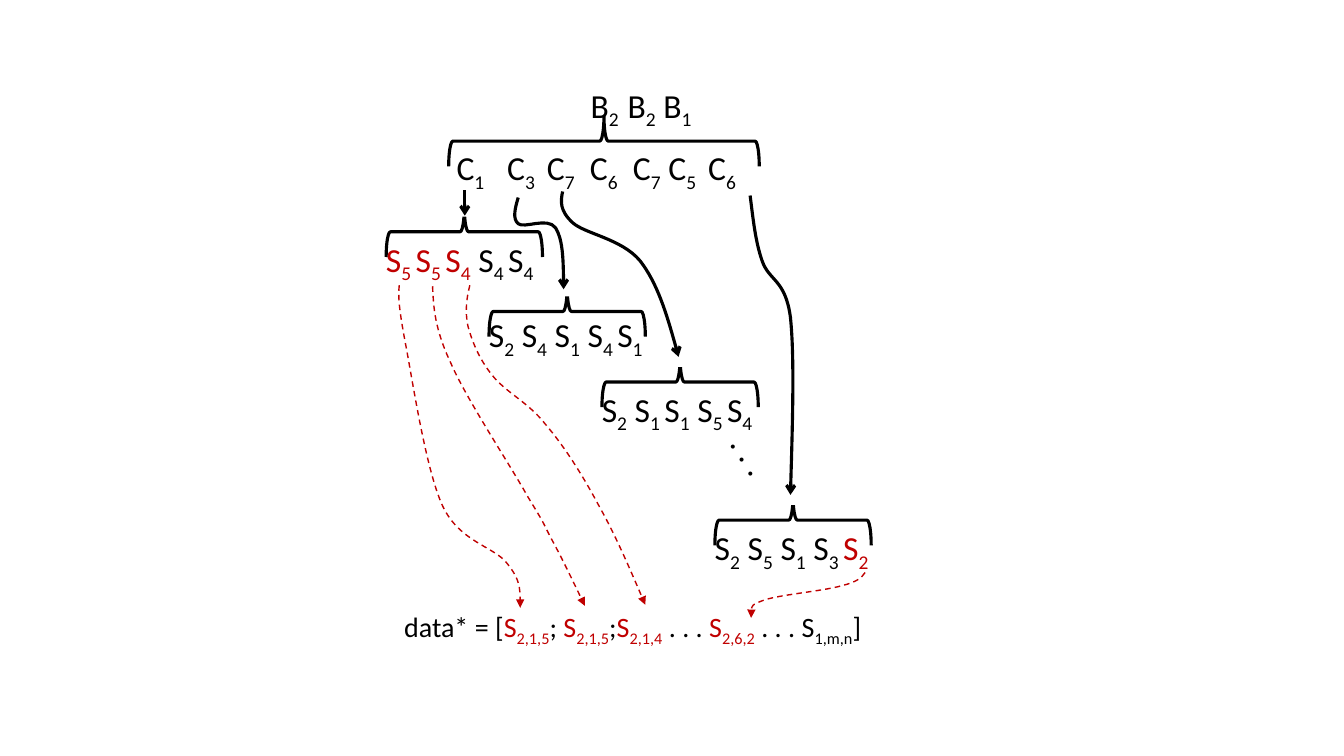
from dataclasses import dataclass
from lxml.etree import SubElement
from pptx import Presentation
from pptx.dml.color import RGBColor
from pptx.enum.dml import MSO_LINE
from pptx.enum.shapes import MSO_CONNECTOR, MSO_SHAPE
from pptx.enum.text import MSO_AUTO_SIZE
from pptx.oxml.ns import qn
from pptx.util import Inches, Pt


@dataclass(frozen=True)
class Theme:
    """Hold the colours, font, type sizes and line widths."""
    ink: RGBColor = RGBColor(0, 0, 0)
    accent: RGBColor = RGBColor(0xC0, 0, 0)
    paper: RGBColor = RGBColor(0xFF, 0xFF, 0xFF)
    font: str = "Calibri"
    symbol: Pt = Pt(24)
    formula: Pt = Pt(20)
    heavy: Pt = Pt(2.25)
    light: Pt = Pt(1)


@dataclass(frozen=True)
class Box:
    """Describe a region in inches."""
    left: float
    top: float
    width: float
    height: float

    def inches(self):
        """Return the four measures as lengths."""
        return [Inches(side) for side in (self.left, self.top, self.width, self.height)]


THEME = Theme()
INK, RED = THEME.ink, THEME.accent


def add_text(page, box, terms, size=THEME.symbol):
    """Write terms of base text, subscript and colour on one line."""
    label = page.shapes.add_textbox(*box.inches())
    label.text_frame.word_wrap = False
    label.text_frame.auto_size = MSO_AUTO_SIZE.SHAPE_TO_FIT_TEXT
    para = label.text_frame.paragraphs[0]
    for base, subscript, colour in terms:
        for words, shift in ((base, 0), (subscript, -25000)):
            if words:
                span = para.add_run()
                span.text = words
                span.font.name, span.font.size = THEME.font, size
                span.font.color.rgb = colour
                if shift:
                    span.font._element.set("baseline", str(shift))
    return label


def style_line(shape, colour, width, head=None):
    """Set the line of a shape and an optional arrowhead."""
    shape.line.color.rgb = colour
    shape.line.width = width
    if head == "triangle":
        shape.line.dash_style = MSO_LINE.DASH
    if head:
        outline = shape._element.spPr.find(qn("a:ln"))
        SubElement(outline, qn("a:tailEnd"), type=head)


def add_brace(page, box):
    """Place a brace that opens downwards and fills the box."""
    middle_x, middle_y = box.left + box.width / 2, box.top + box.height / 2
    upright = Box(middle_x - box.height / 2, middle_y - box.width / 2, box.height, box.width)
    brace = page.shapes.add_shape(MSO_SHAPE.LEFT_BRACE, *upright.inches())
    brace.rotation = 90
    brace.shadow.inherit = False
    brace.fill.background()
    style_line(brace, INK, THEME.heavy)


def add_states(page, box, text_drop, terms):
    """Place a row of states below a brace with a shortened tip."""
    add_text(page, Box(box.left - 0.1, box.top + text_drop, 1.82, 0.5), terms)
    add_brace(page, box)
    cover = page.shapes.add_shape(
        MSO_SHAPE.RECTANGLE, *Box(box.left + 0.6, box.top - 0.15, 0.32, 0.25).inches())
    cover.shadow.inherit = False
    cover.fill.solid()
    cover.fill.fore_color.rgb = THEME.paper
    cover.line.fill.background()


def add_curve(page, start, offsets, colour, width, head):
    """Draw a Bezier arrow through offsets measured from its start."""
    points = [(Inches(start[0] + x), Inches(start[1] + y)) for x, y in offsets]
    builder = page.shapes.build_freeform(Inches(start[0]), Inches(start[1]))
    builder.add_line_segments(points, close=False)
    curve = builder.convert_to_shape()
    curve.shadow.inherit = False
    curve.fill.background()
    style_line(curve, colour, width, head)
    outline = next(curve._element.iter(qn("a:path")))
    segments = outline.findall(qn("a:lnTo"))
    for first in range(0, len(segments), 3):
        bezier = SubElement(outline, qn("a:cubicBezTo"))
        for segment in segments[first:first + 3]:
            bezier.append(segment[0])
            outline.remove(segment)


def add_blocks(page, box):
    """Place the block row, its brace and the cluster row."""
    clusters = [("C", "1", INK), ("   C", "3 ", INK), (" C", "7", INK), ("  C", "6", INK),
                ("  C", "7", INK), (" C", "5 ", INK), (" C", "6", INK)]
    add_text(page, Box(box.left, box.top + 0.62, box.width, 0.5), clusters)
    add_brace(page, Box(box.left + 0.02, box.top + 0.36, 3.08, 0.5))
    blocks = [("B", "2  ", INK), ("B", "2", INK), (" B", "1", INK)]
    add_text(page, Box(box.left + 1.33, box.top, 1.32, 0.5), blocks)


def add_first_arrow(page, box):
    """Draw the straight arrow down the left side of the box."""
    x, top, bottom = Inches(box.left), Inches(box.top), Inches(box.top + box.height)
    arrow = page.shapes.add_connector(MSO_CONNECTOR.STRAIGHT, x, top, x, bottom)
    style_line(arrow, INK, THEME.heavy, "arrow")
    SubElement(arrow._element.spPr, qn("a:effectLst"))


def add_formula(page, box):
    """Write the resulting data sequence."""
    terms = [("data* = [", "", INK), ("S", "2,1,5", RED), ("; ", "", INK),
             ("S", "2,1,5", RED), (";", "", INK), ("S", "2,1,4", RED),
             (" . . . ", "", INK), ("S", "2,6,2", RED),
             (" . . . S", "1,m,n", INK), ("]", "", INK)]
    add_text(page, box, terms, THEME.formula)


STATE_ROWS = [
    (3.83, 2.05, 0.27, [("S", "5 ", RED), ("S", "5 ", RED), ("S", "4", RED),
                        (" S", "4 ", INK), ("S", "4", INK)]),
    (4.85, 2.84, 0.23, [("S", "2", INK), (" S", "4", INK), (" S", "1", INK),
                        (" S", "4 ", INK), ("S", "1", INK)]),
    (5.97, 3.54, 0.27, [("S", "2", INK), (" S", "1 ", INK), ("S", "1", INK),
                        (" S", "5 ", INK), ("S", "4", INK)]),
    (7.09, 4.91, 0.27, [("S", "2", INK), (" S", "5", INK), (" S", "1", INK),
                        (" S", "3 ", INK), ("S", "2", RED)]),
]
CLUSTER_CURVES = [
    ((5.14, 1.96), [(-.03, .1), (-.06, .21), (0, .26), (.06, .31), (.29, .19), (.37, .3),
                    (.44, .41), (.45, .66), (.45, .91)]),
    ((5.58, 1.9), [(-.02, .1), (-.03, .19), (.1, .31), (.22, .42), (.59, .47), (.77, .69),
                   (.94, .91), (1.05, 1.27), (1.15, 1.64)]),
    ((7.44, 1.94), [(.03, .23), (.05, .45), (.12, .65), (.19, .85), (.35, .83), (.4, 1.21),
                    (.44, 1.6), (.42, 2.28), (.4, 2.97)]),
]
DATA_CURVES = [
    ((3.96, 2.83), [(-.01, .1), (-.01, .2), (.06, .57), (.13, .93), (.26, 1.82), (.43, 2.19),
                    (.6, 2.55), (.94, 2.59), (1.07, 2.76), (1.2, 2.92), (1.2, 3.06), (1.2, 3.2)]),
    ((8.58, 5.68), [(-.03, .04), (-.06, .09), (-.23, .13), (-.39, .18), (-.84, .22), (-.99, .27),
                    (-1.14, .32), (-1.14, .38), (-1.13, .45)]),
    ((4.29, 2.84), [(.01, .21), (.02, .42), (.18, .76), (.33, 1.11), (.78, 1.79), (.94, 2.08),
                    (1.11, 2.36), (1.08, 2.31), (1.17, 2.49), (1.27, 2.67), (1.39, 2.92),
                    (1.51, 3.17)]),
    ((4.66, 2.83), [(-.03, .12), (-.05, .25), (-.02, .4), (.02, .55), (.09, .73), (.22, .89),
                    (.35, 1.06), (.58, 1.16), (.75, 1.38), (.93, 1.59), (1.11, 1.87),
                    (1.27, 2.17), (1.44, 2.47), (1.59, 2.82), (1.74, 3.17)]),
]


def main():
    """Build the sampling diagram and save the deck."""
    deck = Presentation()
    deck.slide_width, deck.slide_height = Inches(13.33), Inches(7.5)
    page = deck.slides.add_slide(deck.slide_layouts[6])
    add_blocks(page, Box(4.43, 0.79, 3.27, 1.12))
    for left, top, text_drop, terms in STATE_ROWS:
        add_states(page, Box(left, top, 1.55, 0.5), text_drop, terms)
    dots = add_text(page, Box(7.15, 4.26, 0.61, 0.5), [(". . .", "", INK)])
    dots.rotation = 56.7
    for start, offsets in CLUSTER_CURVES:
        add_curve(page, start, offsets, INK, THEME.heavy, "arrow")
    add_first_arrow(page, Box(4.61, 1.89, 0, 0.25))
    add_formula(page, Box(3.91, 6, 5.03, 0.44))
    for start, offsets in DATA_CURVES:
        add_curve(page, start, offsets, RED, THEME.light, "triangle")
    deck.save("out.pptx")


main()
